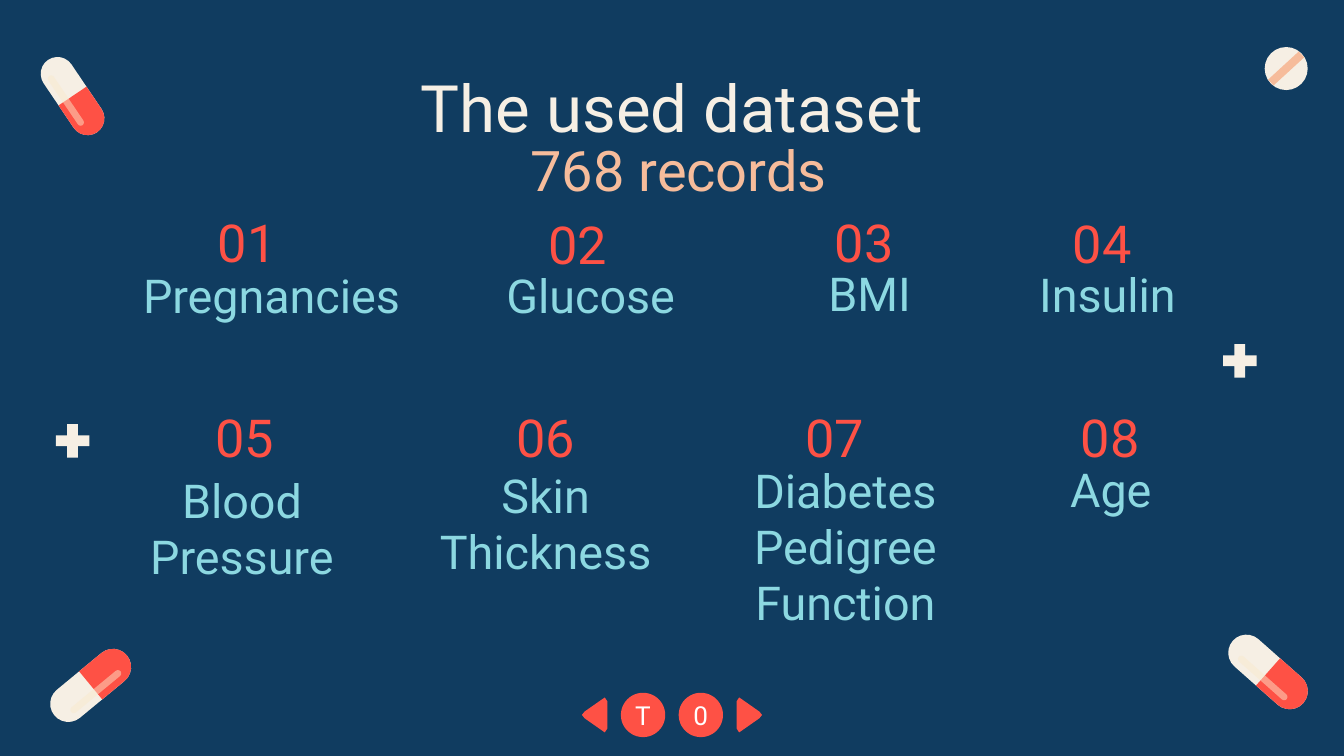
import math
from dataclasses import dataclass
from lxml import etree
from pptx import Presentation
from pptx import util as u
from pptx.dml.color import RGBColor
from pptx.enum import shapes, text
from pptx.oxml.ns import qn


@dataclass(frozen=True)
class Theme:
    font: str = "Roboto"
    navy: str = "103C60"
    cream: str = "F6EFE4"
    red: str = "FE5145"
    peach: str = "F6BC9B"
    aqua: str = "8CD8E1"
    shine: str = "FAE9CD"
    white: str = "FFFFFF"
    title_size: int = 35
    subtitle_size: int = 30
    number_size: int = 28
    label_size: int = 25
    button_size: int = 14


THEME = Theme()
COLUMNS, ROWS = 100, 56.25
LABEL_WIDTH, NUMBER_WIDTH, NUMBER_HEIGHT = 22, 10, 6.5

FEATURES = [
    ("Pregnancies", (18.4, 17.95), (20.2, 21.95), 1),
    ("Glucose", (43, 18.15), (43.95, 21.95), 1),
    ("BMI", (64.3, 17.95), (64.7, 21.75), 1),
    ("Insulin", (82, 18.05), (82.4, 21.85), 1),
    ("Blood Pressure", (18.2, 32.45), (18, 39.25), 2),
    ("Skin Thickness", (40.6, 32.45), (40.6, 38.9), 2),
    ("Diabetes Pedigree Function", (62.1, 32.45), (62.9, 40.6), 3),
    ("Age", (82.6, 32.45), (82.65, 36.35), 1),
]
PILLS = [(5.4, 7.15, 6.5, 2.5, 56), (6.75, 51, 7, 2.7, -39.5), (94.35, 50, 7, 2.7, 41.5)]
PLUSES = [(5.4, 32.8), (92.25, 26.85)]
ARROW_OUTLINE = [(0, 0.3), (0.2, 0), (0.35, 0.1), (1.7, 1.05), (1.9, 1.3),
                 (1.7, 1.55), (0.35, 2.5), (0.2, 2.6), (0, 2.3)]


def cells(count):
    return u.Inches(count / 10)


def box(center, width, height):
    x, y = center
    return [cells(n) for n in (x - width / 2, y - height / 2, width, height)]


def paint(shape, color):
    shape.shadow.inherit = False
    shape.fill.solid()
    shape.fill.fore_color.rgb = RGBColor.from_string(color)
    shape.line.fill.background()


def add_figure(slide, kind, center, width, height, color, angle=0):
    shape = slide.shapes.add_shape(kind, *box(center, width, height))
    paint(shape, color)
    shape.rotation = angle
    return shape


def write(shape, words, size, color, inset=1, anchor=text.MSO_ANCHOR.MIDDLE):
    frame = shape.text_frame
    frame.word_wrap = True
    frame.auto_size = text.MSO_AUTO_SIZE.NONE
    frame.vertical_anchor = anchor
    frame.margin_left = frame.margin_right = cells(inset)
    frame.margin_top = frame.margin_bottom = cells(inset)
    paragraph = frame.paragraphs[0]
    paragraph.alignment = text.PP_ALIGN.CENTER
    run = paragraph.add_run()
    run.text = words
    run.font.name = THEME.font
    run.font.size = u.Pt(size)
    run.font.color.rgb = RGBColor.from_string(color)


def add_text(slide, words, center, width, height, size, color):
    write(slide.shapes.add_textbox(*box(center, width, height)), words, size, color)


def add_title(slide, words):
    title = slide.shapes.title
    title.left, title.top, title.width, title.height = box((50, 7.15), 84.4, 6.3)
    write(title, words, THEME.title_size, THEME.cream, anchor=text.MSO_ANCHOR.TOP)


def add_feature(slide, number, words, number_center, label_center, lines):
    add_text(slide, f"{number:02}", number_center, NUMBER_WIDTH, NUMBER_HEIGHT,
             THEME.number_size, THEME.red)
    add_text(slide, words, label_center, LABEL_WIDTH, 4.1 * lines,
             THEME.label_size, THEME.aqua)


def add_pill(slide, x, y, length, thickness, angle):
    kinds = shapes.MSO_SHAPE
    cosine, sine = math.cos(math.radians(angle)), math.sin(math.radians(angle))
    body = add_figure(slide, kinds.ROUNDED_RECTANGLE, (x, y), length, thickness,
                      THEME.cream, angle)
    body.adjustments[0] = 0.5
    half_center = (x + cosine * length / 4, y + sine * length / 4)
    half = add_figure(slide, kinds.ROUND_2_SAME_RECTANGLE, half_center, thickness,
                      length / 2, THEME.red, angle + 90)
    half.adjustments[0] = 0.5
    shine = add_figure(slide, kinds.ROUNDED_RECTANGLE, (x - sine * 0.6, y + cosine * 0.6),
                       length * 0.68, 0.5, THEME.shine, angle)
    shine.adjustments[0] = 0.5
    color = shine.fill._xPr.find(qn("a:solidFill"))[0]
    etree.SubElement(color, qn("a:alpha"), val="49000")


def add_tablet(slide, center):
    add_figure(slide, shapes.MSO_SHAPE.OVAL, center, 3.2, 3.2, THEME.cream)
    add_figure(slide, shapes.MSO_SHAPE.RECTANGLE, center, 3.1, 0.6, THEME.peach, -42.5)


def add_plus(slide, center):
    plus = add_figure(slide, shapes.MSO_SHAPE.CROSS, center, 2.5, 2.5, THEME.cream)
    plus.adjustments[0] = 0.34


def add_button(slide, words, center):
    button = add_figure(slide, shapes.MSO_SHAPE.OVAL, center, 3.3, 3.3, THEME.red)
    write(button, words, THEME.button_size, THEME.white, inset=0)


def add_arrow(slide, direction):
    points = [(cells(50 + direction * (4.8 + x)), cells(51.9 + y)) for x, y in ARROW_OUTLINE]
    builder = slide.shapes.build_freeform(*points[0])
    builder.add_line_segments(points[1:], close=True)
    paint(builder.convert_to_shape(), THEME.red)


def main():
    presentation = Presentation()
    presentation.slide_width, presentation.slide_height = cells(COLUMNS), cells(ROWS)
    slide = presentation.slides.add_slide(presentation.slide_layouts[5])
    slide.background.fill.solid()
    slide.background.fill.fore_color.rgb = RGBColor.from_string(THEME.navy)

    for center in PLUSES:
        add_plus(slide, center)
    add_tablet(slide, (95.7, 5.1))
    for pill in PILLS:
        add_pill(slide, *pill)

    add_title(slide, "The used dataset")
    add_text(slide, "768 records", (50.5, 12.55), 33, 6.5, THEME.subtitle_size, THEME.peach)
    for number, feature in enumerate(FEATURES, 1):
        add_feature(slide, number, *feature)

    for words, direction in (("T", -1), ("0", 1)):
        add_button(slide, words, (50 + direction * 2.15, 53.2))
        add_arrow(slide, direction)
    presentation.save("out.pptx")


if __name__ == "__main__":
    main()
